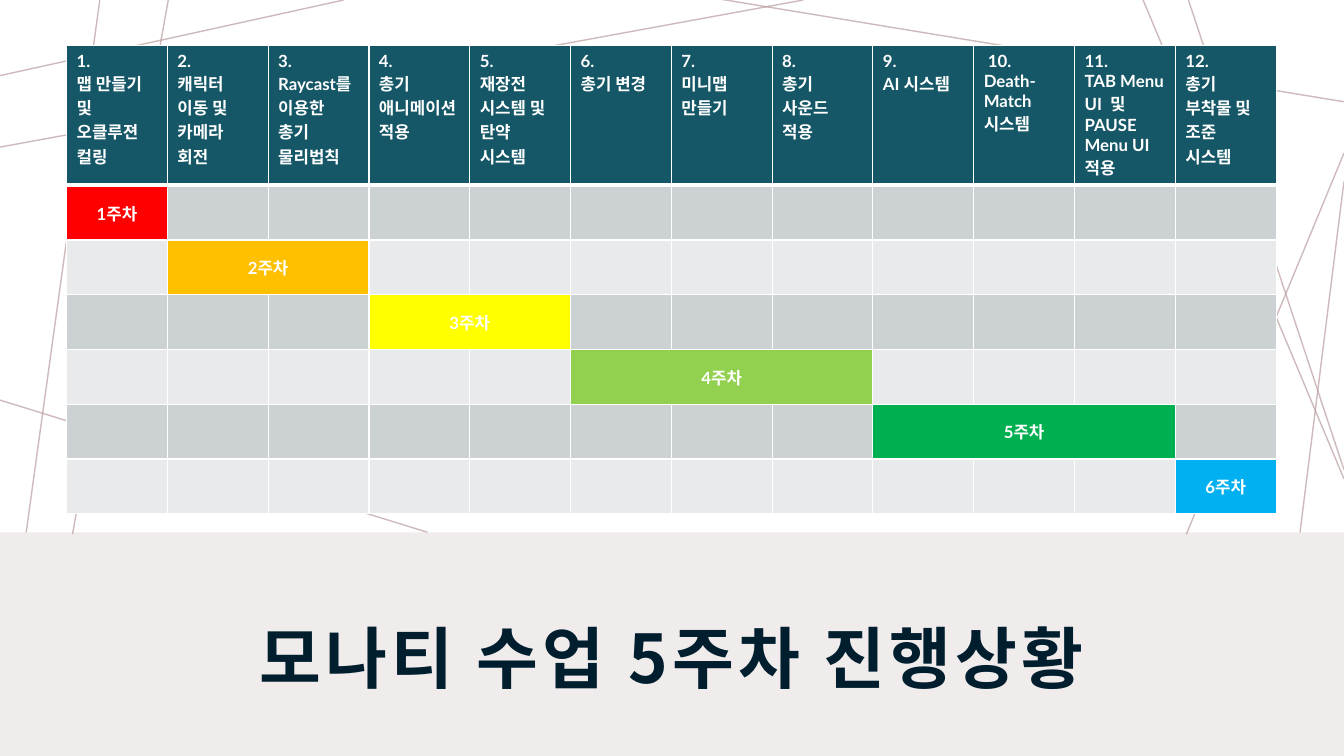
from lxml.etree import SubElement
from pptx import Presentation
from pptx.dml.color import RGBColor
from pptx.enum.shapes import MSO_CONNECTOR, MSO_SHAPE
from pptx.enum.text import MSO_ANCHOR, PP_ALIGN
from pptx.oxml import parse_xml
from pptx.oxml.ns import nsdecls, qn
from pptx.util import Pt

SLIDE_W, SLIDE_H = 960, 540
LATIN, KOREAN = "Lato", "Noto Sans CJK KR"
WHITE, HEADER_TEAL, NAVY, PALE, MAUVE = "FFFFFF", "155767", "001E2E", "F0ECEC", "BA9CA0"
ROW_FILLS = ["CCD1D3", "E8EAEB"]

# Background lines as x1, y1, x2, y2
BACK_LINES = [
    (245.5, 0, 0, 54), (71.3, 0, 0, 515.5), (491.8, 540, -3.6, 455.8),
    (960, 460.8, 666.7, 540), (960, 129.6, 908.6, 540), (960, 335.5, 848.9, 0),
    (960, 72.7, 514.1, -0.7), (573.8, 0, 0, 105.1),
]
FRONT_LINES = [
    (120.2, 0, 51.8, 381.6), (0, 285.8, 305.3, 380.2),
    (960, 109.4, 847.4, 381.6), (960, 342, 816.5, 0),
]

TASKS = [
    ["1.", "맵 만들기 및 오클루젼 컬링"],
    ["2.", "캐릭터 이동 및 카메라 회전"],
    ["3.", "Raycast를 이용한 총기 물리법칙"],
    ["4.", "총기 애니메이션 적용"],
    ["5.", "재장전 시스템 및 탄약 시스템"],
    ["6.", "총기 변경"],
    ["7.", "미니맵 만들기"],
    ["8.", "총기 사운드 적용"],
    ["9.", "AI 시스템"],
    [" 10. Death-Match 시스템"],
    ["11.", "TAB Menu UI  및  PAUSE Menu UI 적용"],
    ["12.", "총기 부착물 및 조준 시스템"],
]
# Week label, first task column, number of tasks, colour
WEEKS = [
    ("1주차", 0, 1, "FF0000"), ("2주차", 1, 2, "FFC000"), ("3주차", 3, 2, "FFFF00"),
    ("4주차", 5, 3, "92D050"), ("5주차", 8, 3, "00B050"), ("6주차", 11, 1, "00B0F0"),
]


def color(hex_value):
    return RGBColor.from_string(hex_value)


def paint(part, hex_value):
    part.fill.solid()
    part.fill.fore_color.rgb = color(hex_value)


def write(paragraph, text, latin, size, hex_value, spacing=0):
    run = paragraph.add_run()
    run.text = text
    for name, value in {"name": latin, "size": Pt(size), "bold": True}.items():
        setattr(run.font, name, value)
    run.font.color.rgb = color(hex_value)
    properties = run.font._element
    SubElement(properties, qn("a:ea"), typeface=KOREAN)
    if spacing:
        properties.set("spc", str(spacing * 100))


def draw_lines(slide, box, lines):
    left, top = box
    for x1, y1, x2, y2 in lines:
        strand = slide.shapes.add_connector(
            MSO_CONNECTOR.STRAIGHT,
            Pt(left + x1), Pt(top + y1), Pt(left + x2), Pt(top + y2))
        strand.line.width = Pt(1)
        strand.line.color.rgb = color(MAUVE)
        shape_properties = strand._element.spPr
        tint = shape_properties.find(".//" + qn("a:srgbClr"))
        SubElement(tint, qn("a:alpha"), val="70000")
        SubElement(shape_properties, qn("a:effectLst"))


def draw_title_band(slide, box):
    left, top, width, height = box
    band = slide.shapes.add_shape(
        MSO_SHAPE.RECTANGLE, Pt(left), Pt(top), Pt(width), Pt(height))
    band.shadow.inherit = False
    paint(band, PALE)
    band.line.fill.background()

    # Title centred across the band
    title = slide.shapes.add_textbox(
        Pt(left + 120), Pt(top + 36.7), Pt(width - 240), Pt(96.5))
    frame = title.text_frame
    frame_format = {
        "word_wrap": True, "vertical_anchor": MSO_ANCHOR.MIDDLE,
        "margin_left": Pt(8.6), "margin_right": Pt(8.6),
        "margin_top": Pt(8.6), "margin_bottom": Pt(7.2),
    }
    for name, value in frame_format.items():
        setattr(frame, name, value)
    heading = frame.paragraphs[0]
    heading.alignment, heading.line_spacing = PP_ALIGN.CENTER, 1.1
    write(heading, "모나티 수업 5주차 진행상황", KOREAN, 48, NAVY, spacing=3)


def set_borders(cell, widths):
    cell_properties = cell._tc.get_or_add_tcPr()
    for index, (side, width) in enumerate(widths.items()):
        cell_properties.insert(index, parse_xml(
            f'<a:ln{side} {nsdecls("a")} w="{Pt(width)}"><a:solidFill>'
            f'<a:srgbClr val="{WHITE}"/></a:solidFill></a:ln{side}>'))


def draw_schedule(slide, box):
    left, top, width, height = box
    header_height = 100  # room for six lines of heading
    schedule = slide.shapes.add_table(
        len(WEEKS) + 1, len(TASKS), Pt(left), Pt(top), Pt(width), Pt(height)).table
    for column in schedule.columns:
        column.width = Pt(width / len(TASKS))
    for index, row in enumerate(schedule.rows):
        row.height = Pt((height - header_height) / len(WEEKS) if index else header_height)
        for cell in row.cells:
            paint(cell, ROW_FILLS[(index - 1) % 2] if index else HEADER_TEAL)
            set_borders(cell, {"L": 1, "R": 1, "T": 3 if index == 1 else 1,
                               "B": 1 if index else 3})

    # Task headings
    for column, lines in enumerate(TASKS):
        frame = schedule.cell(0, column).text_frame
        for index, line in enumerate(lines):
            paragraph = frame.add_paragraph() if index else frame.paragraphs[0]
            write(paragraph, line, LATIN, 12, WHITE)

    # Week bars
    for row, (label, start, count, fill) in enumerate(WEEKS, 1):
        week = schedule.cell(row, start)
        if count > 1:
            week.merge(schedule.cell(row, start + count - 1))
        paint(week, fill)
        week.vertical_anchor = MSO_ANCHOR.MIDDLE
        paragraph = week.text_frame.paragraphs[0]
        paragraph.alignment = PP_ALIGN.CENTER
        write(paragraph, label, LATIN, 12, WHITE)


def main():
    deck = Presentation()
    deck.slide_width, deck.slide_height = Pt(SLIDE_W), Pt(SLIDE_H)
    slide = deck.slides.add_slide(deck.slide_layouts[6])
    paint(slide.background, WHITE)
    draw_lines(slide, (0, 0), BACK_LINES)
    draw_title_band(slide, (0, 380.2, SLIDE_W, 162))
    draw_lines(slide, (0, 0), FRONT_LINES)
    draw_schedule(slide, (47.5, 32.4, 864, 334.6))
    deck.save("out.pptx")


if __name__ == "__main__":
    main()
